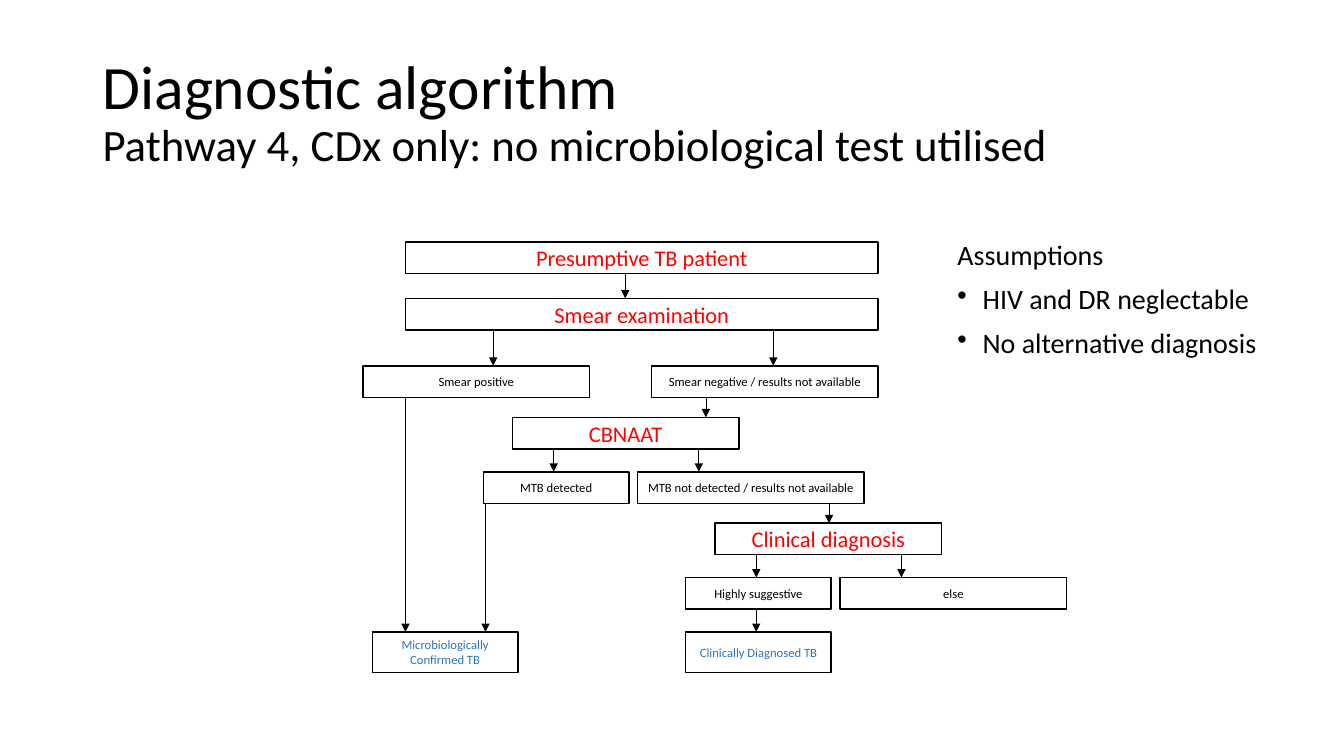
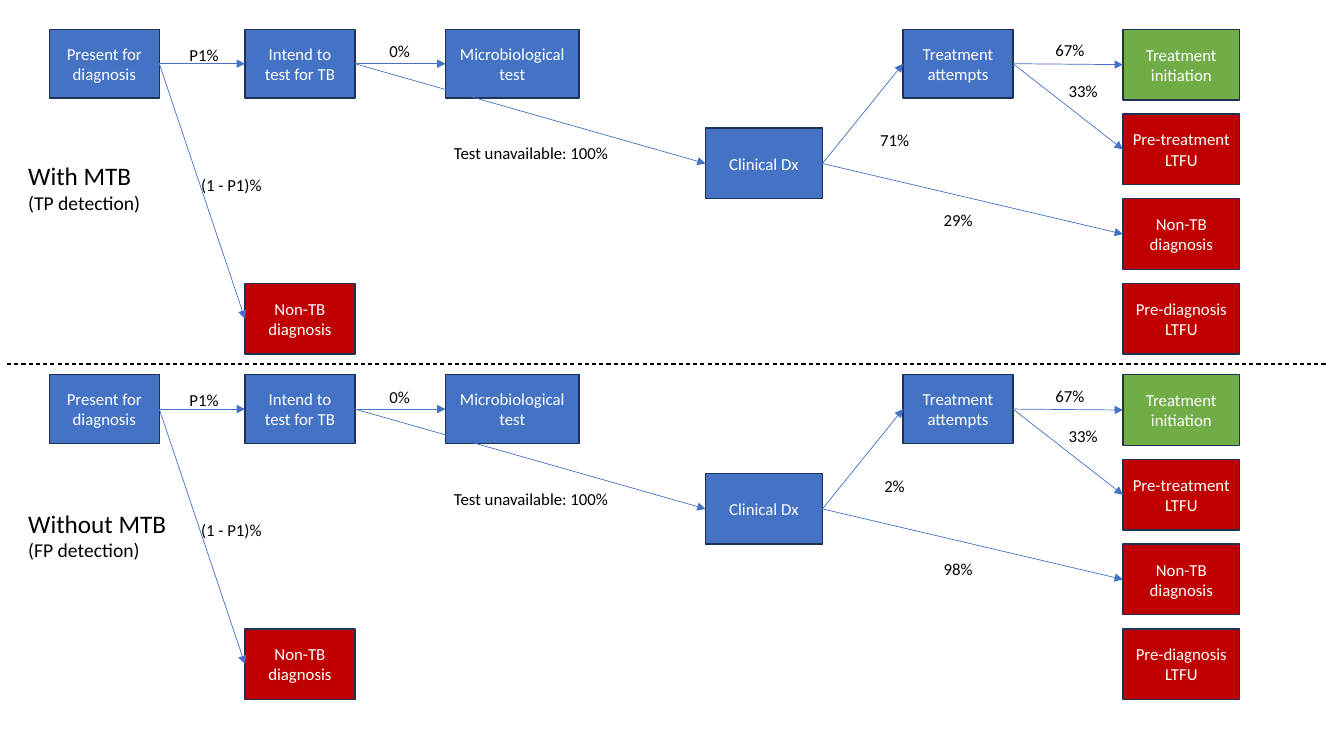
from lxml import etree
from pptx import Presentation
from pptx.dml.color import RGBColor
from pptx.enum.dml import MSO_LINE
from pptx.enum.shapes import MSO_CONNECTOR, MSO_SHAPE
from pptx.enum.text import MSO_ANCHOR, PP_ALIGN
from pptx.oxml.ns import qn
from pptx.util import Pt

RECTANGLE = MSO_SHAPE.RECTANGLE
STRAIGHT = MSO_CONNECTOR.STRAIGHT
DASH = MSO_LINE.DASH
MIDDLE, TOP = MSO_ANCHOR.MIDDLE, MSO_ANCHOR.TOP
CENTER, LEFT = PP_ALIGN.CENTER, PP_ALIGN.LEFT

FONT = "Calibri"
COLORS = {
    "black": "000000", "white": "FFFFFF", "red": "FF0000", "link": "2E75B6",
    "step": "4472C4", "loss": "C00000", "success": "70AD47", "border": "1E3256",
}
LEFT_SITE, RIGHT_SITE = 1, 3  # connection sites of a rectangle


def rgb(name):
    return RGBColor.from_string(COLORS[name])


def set_font(font, size, color="black"):
    font.name, font.size = FONT, Pt(size)
    font.color.rgb = rgb(color)


def set_frame(frame, inset=7.2, anchor=MIDDLE, wrap=True):
    frame.word_wrap = wrap
    frame.vertical_anchor = anchor
    frame.margin_left = frame.margin_right = Pt(inset)
    frame.margin_top = frame.margin_bottom = Pt(3.6)


def add_box(page, text, left, top, width, height, fill="white", border="black",
            size=12, color="white", inset=7.2):
    box = page.shapes.add_shape(RECTANGLE, Pt(left), Pt(top), Pt(width), Pt(height))
    box.shadow.inherit = False
    box.fill.solid()
    box.fill.fore_color.rgb = rgb(fill)
    box.line.color.rgb = rgb(border)
    box.line.width = Pt(1)
    set_frame(box.text_frame, inset)
    para = box.text_frame.paragraphs[0]
    para.text, para.alignment = text, CENTER
    set_font(para.font, size, color)
    return box


def add_text(page, lines, left, top, width, height, align=LEFT, inset=7.2, wrap=True):
    """Place one paragraph for each (text, size) pair in lines."""
    box = page.shapes.add_textbox(Pt(left), Pt(top), Pt(width), Pt(height))
    frame = box.text_frame
    set_frame(frame, inset, TOP, wrap)
    for index, (text, size) in enumerate(lines):
        para = frame.add_paragraph() if index else frame.paragraphs[0]
        para.text, para.alignment = text, align
        set_font(para.font, size)
    return box


def add_line(page, x1, y1, x2, y2, color="black", width=0.5, arrow=True):
    line = page.shapes.add_connector(STRAIGHT, Pt(x1), Pt(y1), Pt(x2), Pt(y2))
    line.line.color.rgb = rgb(color)
    line.line.width = Pt(width)
    if arrow:
        etree.SubElement(line.line._get_or_add_ln(), qn("a:tailEnd"), type="triangle")
    etree.SubElement(line._element.spPr, qn("a:effectLst"))
    return line


def link_boxes(page, source, target):
    line = add_line(page, 0, 0, 0, 0, color="step")
    line.begin_connect(source, RIGHT_SITE)
    line.end_connect(target, LEFT_SITE)


def add_title(page, title, subtitle, left, top, width, height):
    box = page.shapes.add_textbox(Pt(left), Pt(top), Pt(width), Pt(height))
    set_frame(box.text_frame)
    para = box.text_frame.paragraphs[0]
    para.line_spacing = 0.9
    for text, size in ((title, 44), (subtitle, 32)):
        if para.runs:
            para.add_line_break()
        span = para.add_run()
        span.text = text
        set_font(span.font, size)


def add_assumptions(page, heading, points, left, top, width, height):
    lines = [(text, 20) for text in (heading, *points)]
    box = add_text(page, lines, left, top, width, height)
    for index, para in enumerate(box.text_frame.paragraphs):
        para.line_spacing = 0.9
        if index:
            para.space_before = Pt(10)
            props = para._p.get_or_add_pPr()
            props.set("marL", str(Pt(18)))
            props.set("indent", str(-Pt(18)))
            bullet = etree.Element(qn("a:buChar"), char="•")
            props.insert_element_before(bullet, "a:tabLst", "a:defRPr", "a:extLst")


def add_flowchart(page, left, top):
    row_tops = (0, 40.3, 88.5, 125.3, 164.2, 200.9, 239.7, 278.6)
    box_height, result_height = 22.6, 29
    wide, medium, narrow = 337.5, 162, 104
    styles = {
        "test": (16, "red", box_height),
        "finding": (9, "black", box_height),
        "result": (9, "link", result_height),
    }
    boxes = (
        ("Presumptive TB patient", "test", 0, 30.5, wide),
        ("Smear examination", "test", 1, 30.5, wide),
        ("Smear positive", "finding", 2, 0, medium),
        ("Smear negative / results not available", "finding", 2, 206, medium),
        ("CBNAAT", "test", 3, 106.7, medium),
        ("MTB detected", "finding", 4, 86, narrow),
        ("MTB not detected / results not available", "finding", 4, 196, medium),
        ("Clinical diagnosis", "test", 5, 251.5, medium),
        ("Highly suggestive", "finding", 6, 230.5, narrow),
        ("else", "finding", 6, 340.8, medium),
        ("Microbiologically Confirmed TB", "result", 7, 6.7, narrow),
        ("Clinically Diagnosed TB", "result", 7, 230.5, narrow),
    )
    for text, style, row, x, width in boxes:
        size, color, height = styles[style]
        add_box(page, text, left + x, top + row_tops[row], width, height,
                size=size, color=color, inset=3.6)
    arrows = (
        (187.4, 0, 1), (93.1, 1, 2), (293.2, 1, 2), (30.4, 2, 7), (245, 2, 3),
        (136.3, 3, 4), (240, 3, 4), (87.6, 4, 7), (333, 4, 5),
        (281, 5, 6), (384.7, 5, 6), (281, 6, 7),
    )
    for x, start, end in arrows:
        add_line(page, left + x, top + row_tops[start] + box_height,
                 left + x, top + row_tops[end])


def add_cascade(page, left, top, heading, detection, treated, missed,
                heading_top, missed_top):
    """Draw one care pathway; treated and missed are the clinical shares."""
    step_width, step_height = 78.5, 49
    end_width, end_height, end_pitch = 83.5, 50.4, 60.5

    def step(text, x, width=step_width):
        return add_box(page, text, left + x, top, width, step_height, "step", "border")

    def tall_box(text, x, y, width, fill):
        return add_box(page, text, left + x, top + y, width, end_height, fill,
                       "border", inset=6)

    present = step("Present for diagnosis", 35.3)
    intend = step("Intend to test for TB", 175)
    microbiology = step("Microbiological test", 318.2, 95.5)
    attempts = step("Treatment attempts", 645.1)
    clinical = tall_box("Clinical Dx", 504, 70.6, end_width, "step")
    missed_early = tall_box("Non-TB diagnosis", 175, 3 * end_pitch, step_width, "loss")
    outcomes = (
        ("Treatment initiation", "success"), ("Pre-treatment LTFU", "loss"),
        ("Non-TB diagnosis", "loss"), ("Pre-diagnosis LTFU", "loss"),
    )
    initiation, dropout, missed_late, _ = [
        tall_box(text, 802.1, row * end_pitch, end_width, fill)
        for row, (text, fill) in enumerate(outcomes)
    ]
    for source, target in (
        (present, intend), (present, missed_early), (intend, microbiology),
        (intend, clinical), (clinical, attempts), (clinical, missed_late),
        (attempts, initiation), (attempts, dropout),
    ):
        link_boxes(page, source, target)

    labels = (
        ("P1%", 127.4, 7.1, 36.7), ("(1 - P1)%", 136.1, 100, 58.3),
        ("0%", 267.1, 4.9, 36.7), ("Test unavailable: 100%", 303.8, 77.6, 151.2),
        (treated, 620.6, 68.3, 36.7), (missed, 661, missed_top, 46.8),
        ("67%", 740.9, 4.2, 46.8), ("33%", 750.2, 33.2, 46.8),
    )
    for text, x, y, width in labels:
        add_text(page, [(text, 12)], left + x, top + y, width, 21.6, CENTER, 3.6)
    add_text(page, [(heading, 18), (detection, 14)], left + 13, top + heading_top,
             115, 46, wrap=False)


def build_algorithm_slide(page):
    add_title(page, "Diagnostic algorithm",
              "Pathway 4, CDx only: no microbiological test utilised",
              66.2, 28.8, 828, 104.4)
    add_flowchart(page, 259.2, 172.8)
    add_assumptions(page, "Assumptions",
                    ("HIV and DR neglectable", "No alternative diagnosis"),
                    676.8, 168.5, 230.4, 342.7)


def build_cascade_slide(page):
    add_cascade(page, 0, 21, "With MTB", "(TP detection)", "71%", "29%", 89.9, 125.2)
    add_cascade(page, 0, 267.7, "Without MTB", "(FP detection)", "2%", "98%", 91.6, 127.6)
    divider = add_line(page, 5, 260, 949, 260, width=0.75, arrow=False)
    divider.line.dash_style = DASH


def main():
    deck = Presentation()
    deck.slide_width, deck.slide_height = Pt(960), Pt(540)
    blank = deck.slide_layouts[6]
    for build in (build_algorithm_slide, build_cascade_slide):
        build(deck.slides.add_slide(blank))
    deck.save("out.pptx")


if __name__ == "__main__":
    main()
